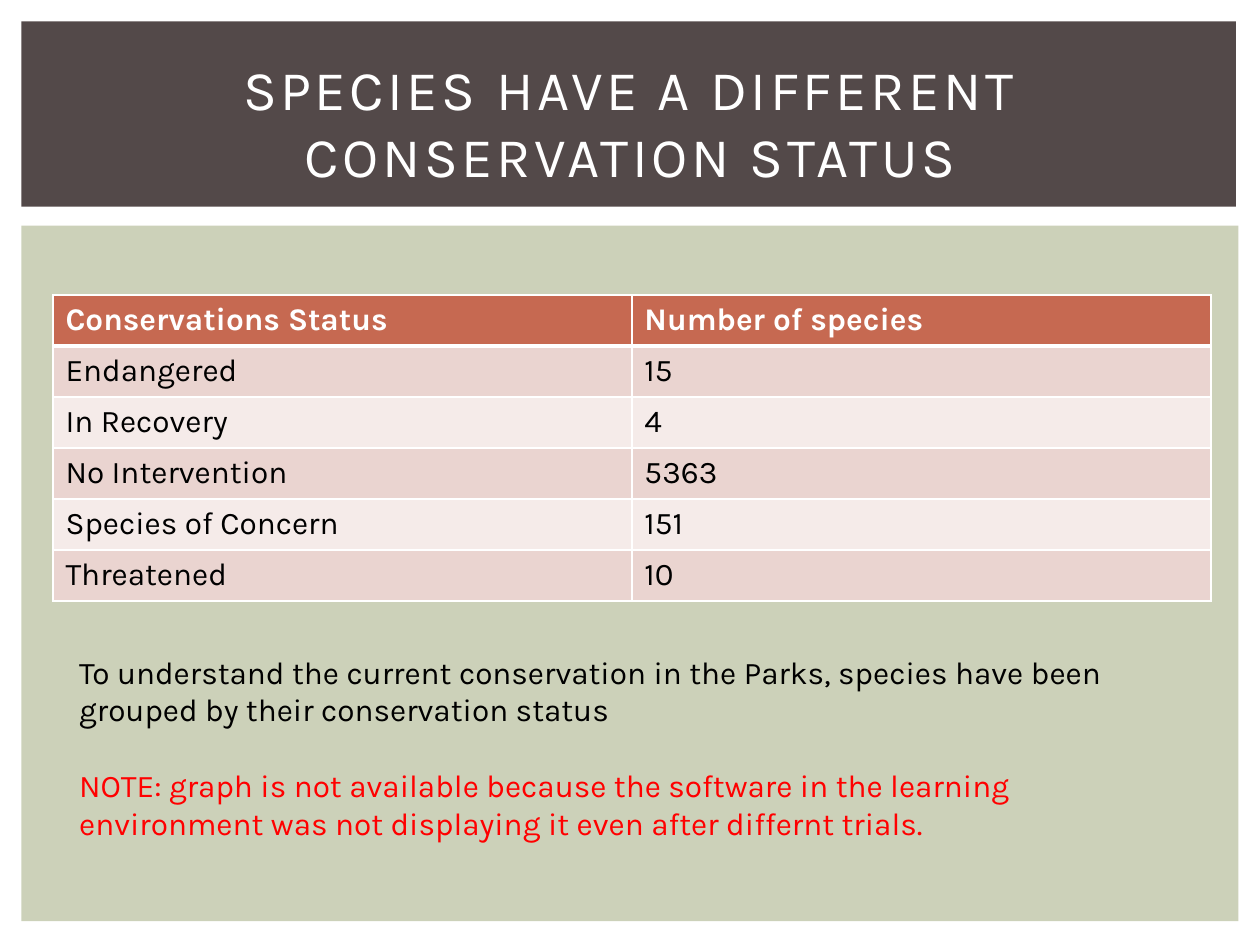
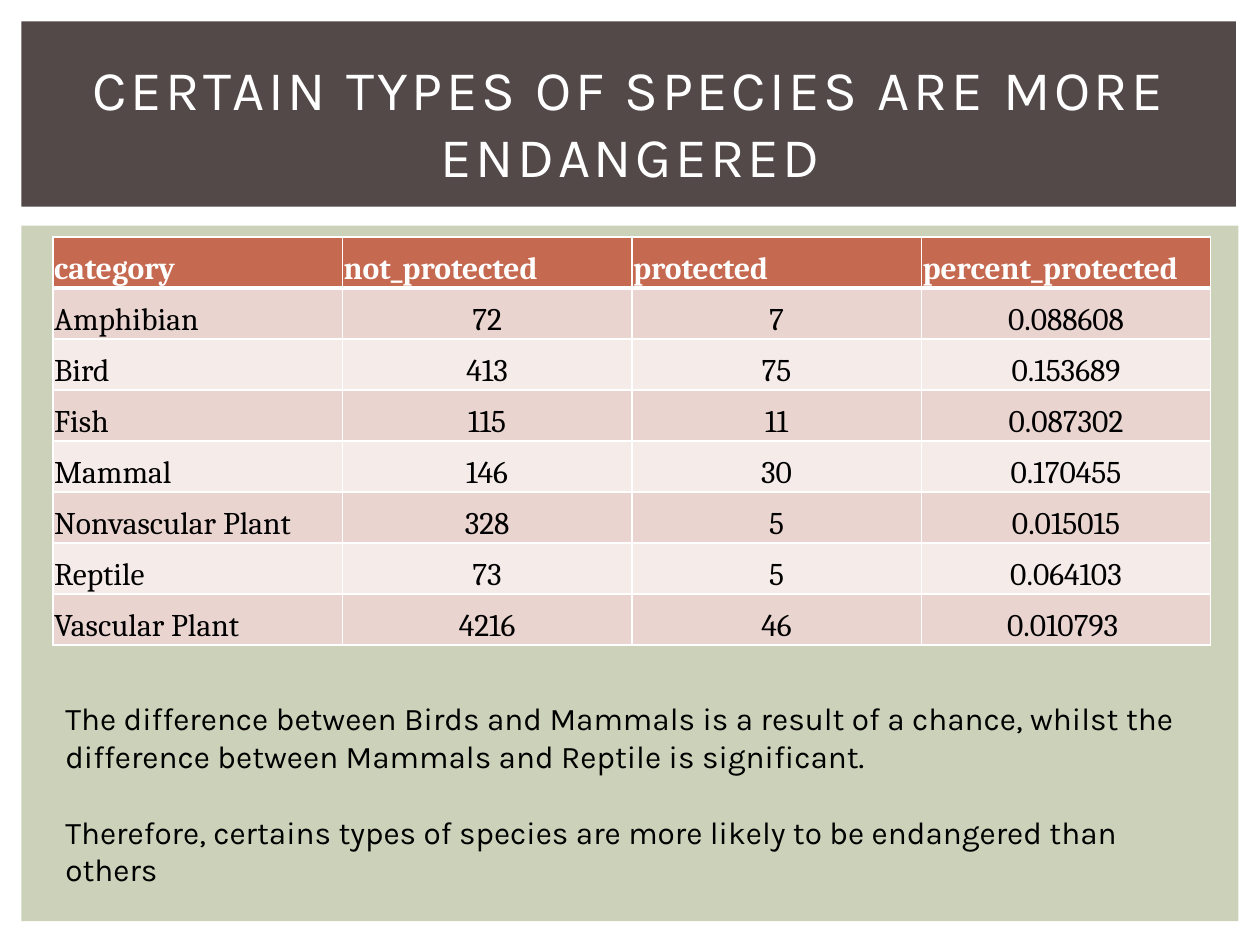
from dataclasses import dataclass

from lxml import etree
from pptx import Presentation
from pptx import util as u
from pptx.dml import color
from pptx.enum import shapes, text
from pptx.oxml import ns

PAPER, PANEL, BAND = "FFFFFF", "CCD1B9", "534949"
HEADER, STRIPES = "C66951", ("EAD4D0", "F5EBE9")
INK, WARNING = "000000", "FF0000"
SANS, SERIF = "Karla", "Cambria"
TITLE_SIZE, BODY_SIZE = 32, 18
ROW_SHARE = 5.4

deck = Presentation()
deck.slide_width, deck.slide_height = u.Inches(10), u.Inches(7.5)


@dataclass(frozen=True)
class Area:
    """A rectangle in percent of the slide's width and height."""
    left: float
    top: float
    width: float
    height: float

    def emu(self) -> tuple[int, int, int, int]:
        """Return left, top, width and height in slide units."""
        across, down = deck.slide_width / 100, deck.slide_height / 100
        return (round(self.left * across), round(self.top * down),
                round(self.width * across), round(self.height * down))


@dataclass(frozen=True)
class Passage:
    """One paragraph of the commentary under a table."""
    wording: str
    ink: str = INK
    gap: float = 0


@dataclass(frozen=True)
class CellStyle:
    """The look shared by the cells of one table."""
    font: str
    anchor: text.MSO_ANCHOR
    inset: tuple[float, float, float, float]
    figures: text.PP_ALIGN


@dataclass(frozen=True)
class Finding:
    """The content of one slide."""
    title: str
    table_top: float
    style: CellStyle
    rows: list[tuple[str, ...]]
    commentary_area: Area
    commentary: list[Passage]


PANEL_AREA = Area(1.7, 23.87, 96.6, 73.6)
BAND_AREA = Area(1.7, 2.27, 96.4, 19.6)
TITLE_AREA = Area(4.2, 5.2, 91.7, 15.33)

ROOMY = CellStyle(SANS, text.MSO_ANCHOR.TOP, (0.1, 0.05, 0.1, 0.05), text.PP_ALIGN.LEFT)
TIGHT = CellStyle(SERIF, text.MSO_ANCHOR.BOTTOM, (0.01, 0.01, 0.01, 0), text.PP_ALIGN.CENTER)

FINDINGS = [
    Finding(
        "SPECIES HAVE A DIFFERENT CONSERVATION STATUS", 31.2, ROOMY,
        [("Conservations Status", "Number of species"),
         ("Endangered", "15"),
         ("In Recovery", "4"),
         ("No Intervention", "5363"),
         ("Species of Concern", "151"),
         ("Threatened", "10")],
        Area(5.3, 68.4, 90.6, 21.6),
        [Passage("To understand the current conservation in the Parks, "
                 "species have been grouped by their conservation status"),
         Passage("NOTE: graph is not available because the software in the learning "
                 "environment was not displaying it even after differnt trials.",
                 WARNING, 21.6)]),
    Finding(
        "CERTAIN TYPES OF SPECIES ARE MORE ENDANGERED", 25.07, TIGHT,
        [("category", "not_protected", "protected", "percent_protected"),
         ("Amphibian", "72", "7", "0.088608"),
         ("Bird", "413", "75", "0.153689"),
         ("Fish", "115", "11", "0.087302"),
         ("Mammal", "146", "30", "0.170455"),
         ("Nonvascular Plant", "328", "5", "0.015015"),
         ("Reptile", "73", "5", "0.064103"),
         ("Vascular Plant", "4216", "46", "0.010793 ")],
        Area(4.2, 73.33, 91.9, 17.47),
        [Passage("The difference between Birds and Mammals is a result of a chance, whilst the "),
         Passage("difference between Mammals and Reptile is significant. "),
         Passage("Therefore, certains types of species are more likely "
                 "to be endangered than others", gap=21.6)]),
]


def paint(target, shade: str) -> None:
    """Give a fill or line fill one solid colour."""
    target.solid()
    target.fore_color.rgb = color.RGBColor.from_string(shade)


def style_runs(paragraph, font: str, size: float, ink: str, bold: bool = False) -> None:
    """Format every run of a paragraph."""
    for run in paragraph.runs:
        run.font.name, run.font.size, run.font.bold = font, u.Pt(size), bold
        paint(run.font.fill, ink)


def draw_block(slide, area: Area, shade: str) -> None:
    """Draw a plain rectangle."""
    block = slide.shapes.add_shape(shapes.MSO_SHAPE.RECTANGLE, *area.emu())
    block.shadow.inherit = False
    paint(block.fill, shade)
    block.line.fill.background()


def draw_title(slide, wording: str) -> None:
    """Write the spaced, centred title on the band."""
    frame = slide.shapes.add_textbox(*TITLE_AREA.emu()).text_frame
    frame.word_wrap = True
    frame.vertical_anchor = text.MSO_ANCHOR.MIDDLE
    frame.text = wording
    heading = frame.paragraphs[0]
    heading.alignment = text.PP_ALIGN.CENTER
    style_runs(heading, SANS, TITLE_SIZE, PAPER)
    for run in heading.runs:
        run.font._element.set("spc", "200")


def rule_cell(cell, top: float, bottom: float) -> None:
    """Add the four white borders of a cell."""
    properties = cell._tc.get_or_add_tcPr()
    for edge, points in (("lnL", 1), ("lnR", 1), ("lnT", top), ("lnB", bottom)):
        line = etree.SubElement(properties, ns.qn(f"a:{edge}"), w=str(u.Pt(points)))
        solid = etree.SubElement(line, ns.qn("a:solidFill"))
        etree.SubElement(solid, ns.qn("a:srgbClr"), val=PAPER)


def draw_table(slide, finding: Finding) -> None:
    """Draw the striped table of a finding."""
    rows, style = finding.rows, finding.style
    area = Area(4.2, finding.table_top, 91.9, ROW_SHARE * len(rows))
    grid = slide.shapes.add_table(len(rows), len(rows[0]), *area.emu()).table
    for r, row in enumerate(rows):
        is_header = r == 0
        for c, wording in enumerate(row):
            cell = grid.cell(r, c)
            rule_cell(cell, top=3 if r == 1 else 1, bottom=3 if is_header else 1)
            paint(cell.fill, HEADER if is_header else STRIPES[(r - 1) % 2])
            cell.vertical_anchor = style.anchor
            (cell.margin_left, cell.margin_top,
             cell.margin_right, cell.margin_bottom) = map(u.Inches, style.inset)
            cell.text_frame.text = wording
            entry = cell.text_frame.paragraphs[0]
            is_figure = c > 0 and not is_header
            entry.alignment = style.figures if is_figure else text.PP_ALIGN.LEFT
            style_runs(entry, style.font, BODY_SIZE, PAPER if is_header else INK, is_header)


def draw_commentary(slide, area: Area, passages: list[Passage]) -> None:
    """Write the commentary under the table."""
    frame = slide.shapes.add_textbox(*area.emu()).text_frame
    frame.word_wrap = True
    frame.text = "\n".join(passage.wording for passage in passages)
    for paragraph, passage in zip(frame.paragraphs, passages):
        paragraph.space_before = u.Pt(passage.gap)
        style_runs(paragraph, SANS, BODY_SIZE, passage.ink)


def draw_finding(finding: Finding) -> None:
    """Build one slide."""
    slide = deck.slides.add_slide(deck.slide_layouts[6])
    paint(slide.background.fill, PAPER)
    draw_block(slide, PANEL_AREA, PANEL)
    draw_block(slide, BAND_AREA, BAND)
    draw_table(slide, finding)
    draw_title(slide, finding.title)
    draw_commentary(slide, finding.commentary_area, finding.commentary)


for finding in FINDINGS:
    draw_finding(finding)
deck.save("out.pptx")
